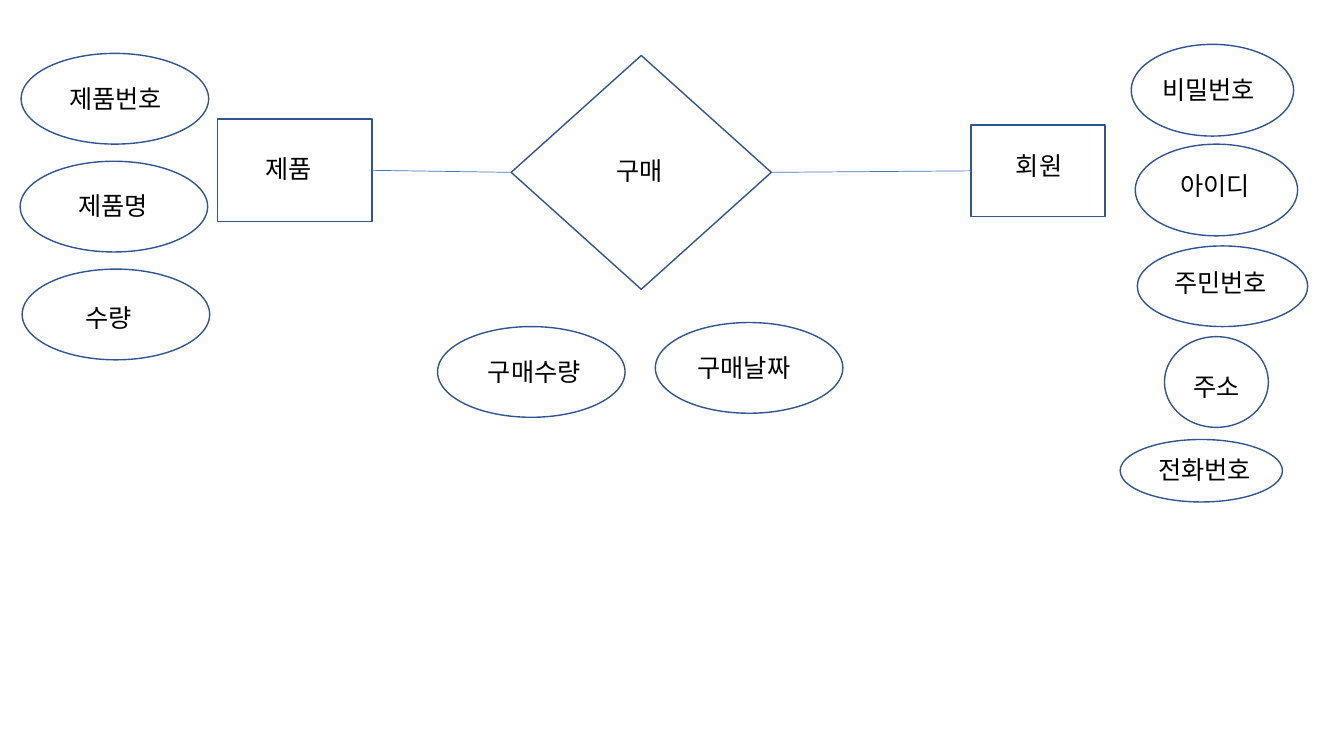
from pptx import Presentation
from pptx.dml.color import RGBColor
from pptx.enum.shapes import MSO_CONNECTOR, MSO_SHAPE
from pptx.enum.text import MSO_AUTO_SIZE, PP_ALIGN
from pptx.oxml.ns import qn
from pptx.util import Inches, Pt
from lxml import etree

OUTLINE = RGBColor(0x32, 0x54, 0x91)
LINK = RGBColor(0x44, 0x72, 0xC4)
BLACK = RGBColor(0, 0, 0)
FONT = "Noto Sans CJK KR"

prs = Presentation()
prs.slide_width, prs.slide_height = Inches(13.33), Inches(7.5)
slide = prs.slides.add_slide(prs.slide_layouts[6])


def add_outline(shapes, kind, box):
    s = shapes.add_shape(kind, *map(Inches, box))
    s.shadow.inherit = False
    s.fill.background()
    s.line.color.rgb = OUTLINE
    s.line.width = Pt(1)
    return s


def add_label(shapes, text, box, size=18, color=BLACK, align=PP_ALIGN.LEFT):
    tf = shapes.add_textbox(*map(Inches, box)).text_frame
    tf.word_wrap = True
    tf.auto_size = MSO_AUTO_SIZE.SHAPE_TO_FIT_TEXT
    p = tf.paragraphs[0]
    p.alignment = align
    r = p.add_run()
    r.text = text
    r.font.size = Pt(size)
    r.font.name = FONT
    r.font.color.rgb = color
    # Hangul takes its typeface from the East Asian slot
    etree.SubElement(r.font._element, qn("a:ea")).set("typeface", FONT)


# Entities and the relationship between them
nodes = {}
for name, kind, box, label_box in [
    ("제품", MSO_SHAPE.RECTANGLE, (2.16, 1.18, 1.53, 1.02), (2.37, 1.47, 0.98, 0.4)),
    ("구매", MSO_SHAPE.DIAMOND, (5.07, 0.55, 2.58, 2.32), (5.93, 1.49, 0.83, 0.4)),
    ("회원", MSO_SHAPE.RECTANGLE, (9.63, 1.24, 1.33, 0.91), (9.88, 1.44, 0.85, 0.4)),
]:
    nodes[name] = add_outline(slide.shapes, kind, box)
    add_label(slide.shapes, name, label_box, align=PP_ALIGN.CENTER)

# Connection sites: 1 is the left side, 3 the right side
for entity, entity_site, purchase_site in [("제품", 3, 1), ("회원", 1, 3)]:
    link = slide.shapes.add_connector(MSO_CONNECTOR.STRAIGHT, 0, 0, 0, 0)
    link.begin_connect(nodes["구매"], purchase_site)
    link.end_connect(nodes[entity], entity_site)
    link.line.color.rgb = LINK
    link.line.width = Pt(0.5)
    etree.SubElement(link._element.spPr, qn("a:effectLst"))

# Attributes: name, ellipse, label box
plain_attributes = [
    ("제품번호", (0.21, 0.53, 1.86, 0.9), (0.59, 0.78, 1.53, 0.4)),
    ("제품명", (0.2, 1.6, 1.86, 0.9), (0.68, 1.84, 0.99, 0.4)),
    ("수량", (0.22, 2.67, 1.86, 0.9), (0.75, 2.95, 1.35, 0.4)),
    ("구매수량", (4.34, 3.24, 1.86, 0.9), (4.74, 3.49, 1.38, 0.4)),
    ("구매날짜", (6.5, 3.2, 1.86, 0.9), (6.82, 3.45, 1.35, 0.4)),
    ("전화번호", (11.11, 4.36, 1.61, 0.62), (11.39, 4.46, 1.34, 0.4)),
]
grouped_attributes = [
    ("비밀번호", (11.22, 0.44, 1.61, 0.91), (11.43, 0.69, 1.4, 0.4)),
    ("아이디", (11.26, 1.43, 1.61, 0.91), (11.61, 1.64, 1.01, 0.41)),
    ("주민번호", (11.28, 2.44, 1.69, 0.8), (11.55, 2.6, 1.36, 0.71)),
    ("주소", (11.55, 3.34, 1.03, 0.9), (11.74, 3.63, 0.98, 0.4)),
]
for attribute in plain_attributes + grouped_attributes:
    name, box, label_box = attribute
    grouped = attribute in grouped_attributes
    shapes = slide.shapes.add_group_shape().shapes if grouped else slide.shapes
    add_outline(shapes, MSO_SHAPE.OVAL, box)
    add_label(shapes, name, label_box)

prs.save("out.pptx")
